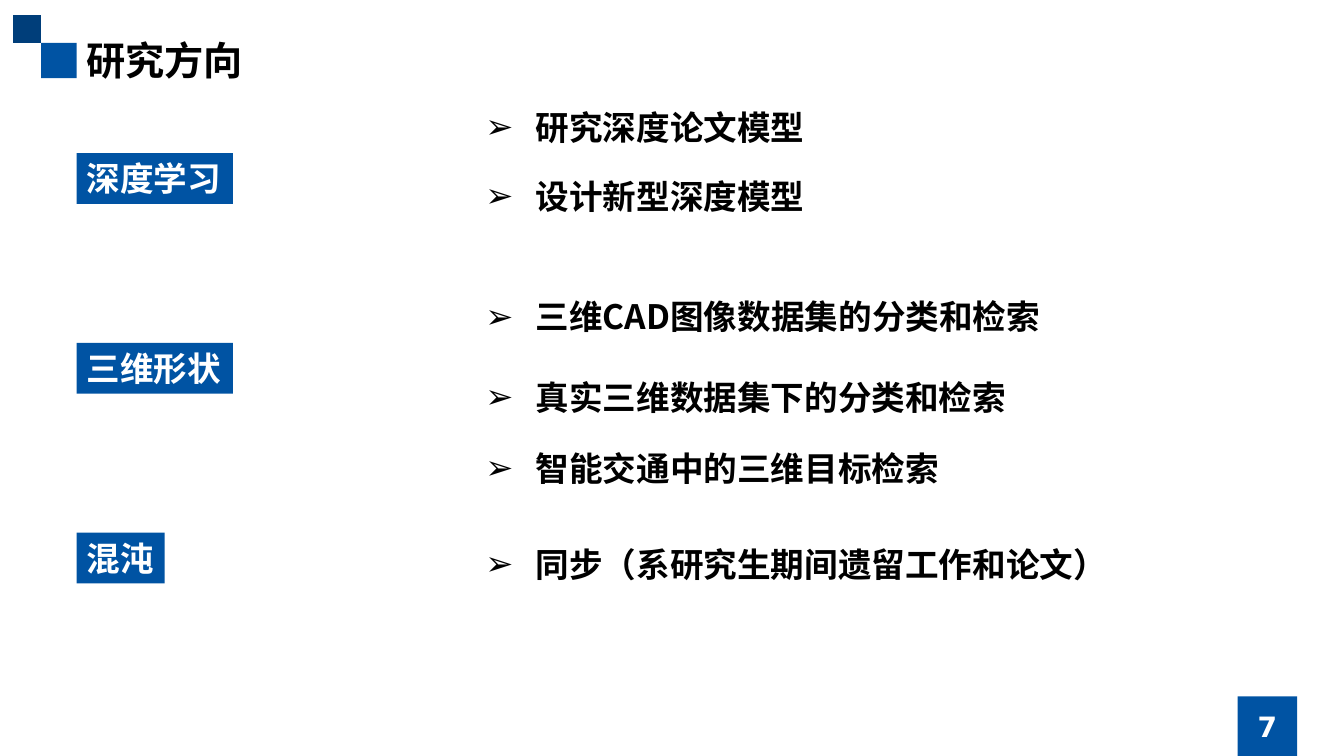
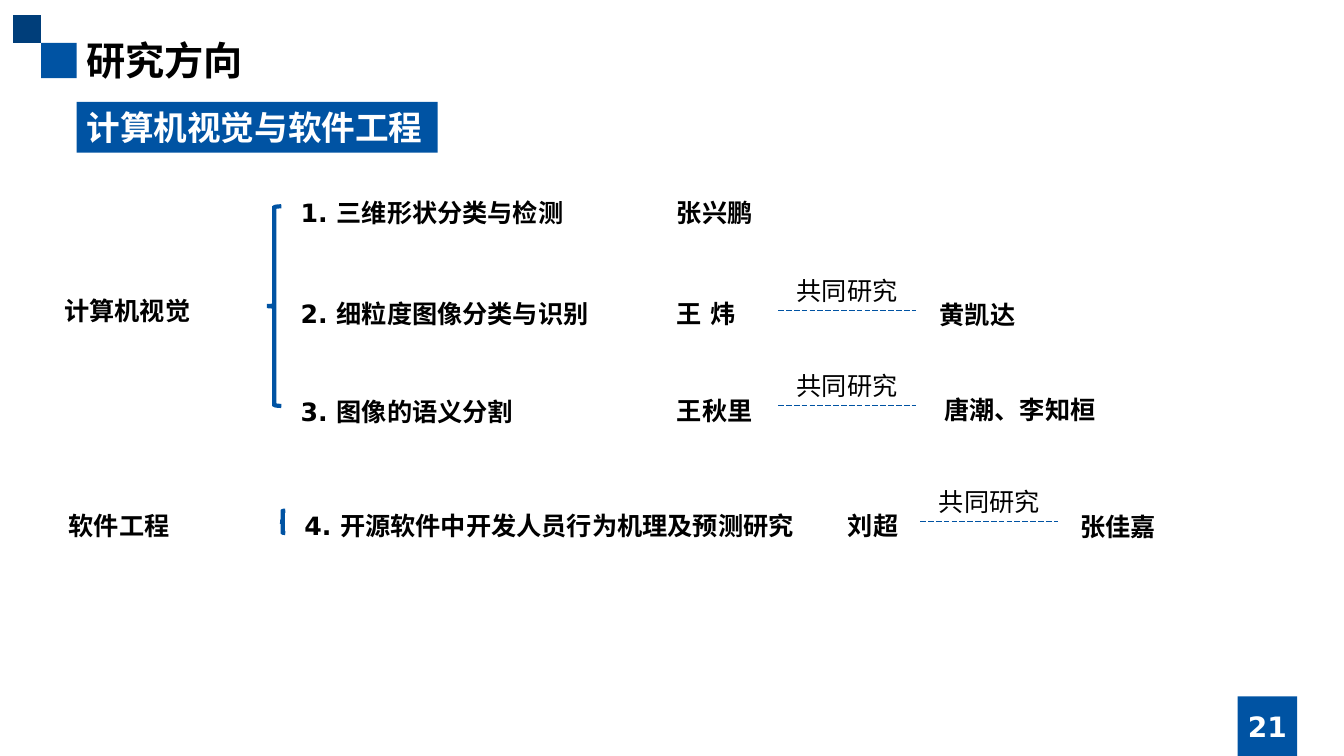
from lxml.etree import SubElement
from pptx import Presentation
from pptx.dml.color import RGBColor
from pptx.enum.dml import MSO_LINE
from pptx.enum.shapes import MSO_CONNECTOR, MSO_SHAPE
from pptx.enum.text import MSO_ANCHOR, PP_ALIGN
from pptx.oxml.ns import qn
from pptx.util import Cm, Pt

BLUE = RGBColor(0x00, 0x53, 0xA3)
NAVY = RGBColor(0x00, 0x3E, 0x7A)
BLACK = RGBColor(0x00, 0x00, 0x00)
WHITE = RGBColor(0xFF, 0xFF, 0xFF)
SANS = "DejaVu Sans"
CJK = "Noto Sans CJK SC"

# Content; all lengths are in centimetres
TITLE = "研究方向"

FIELDS = ["深度学习", "三维形状", "混沌"]
FIELD_TOP, FIELD_STEP = 3.86, 4.78
DIRECTIONS = [  # top, text
    (2.26, "研究深度论文模型"),
    (4.01, "设计新型深度模型"),
    (7.04, "三维CAD图像数据集的分类和检索"),
    (9.07, "真实三维数据集下的分类和检索"),
    (10.85, "智能交通中的三维目标检索"),
    (13.28, "同步（系研究生期间遗留工作和论文）"),
]

TEAM_HEADING = "计算机视觉与软件工程"
JOINT = "共同研究"
AREAS = [  # left, top, text, brace box
    (1.37, 7.09, "计算机视觉", (6.73, 5.2, 0.36, 5.03)),
    (1.48, 12.51, "软件工程", (7.06, 12.87, 0.13, 0.56)),
]
TOPICS = [  # (left, top, topic), (left, top, leader), joint work
    ((7.33, 4.62, "1. 三维形状分类与检测"), (16.81, 4.62, "张兴鹏"), None),
    ((7.33, 7.16, "2. 细粒度图像分类与识别"), (16.81, 7.16, "王 炜"),
     {"dash": (19.61, 7.82), "partner": (23.43, 7.2, "黄凯达")}),
    ((7.33, 9.63, "3. 图像的语义分割"), (16.81, 9.6, "王秋里"),
     {"dash": (19.61, 10.21), "partner": (23.55, 9.59, "唐潮、李知桓")}),
    ((7.42, 12.51, "4. 开源软件中开发人员行为机理及预测研究"), (21.12, 12.51, "刘超"),
     {"dash": (23.19, 13.14), "partner": (26.97, 12.52, "张佳嘉")}),
]
LINE_HEIGHT = 1.24
LINE_SPACING = 1.3
DASH_LENGTH = 3.47
TOPIC_WIDTH, NAME_WIDTH, JOINT_WIDTH = 12.9, 5.3, 3.73


def write(shape, text, size=18, font=SANS, color=BLACK, bold=True,
          spacing=None, align=PP_ALIGN.LEFT, wrap=True, bullet=None):
    """Put one formatted paragraph into a shape."""
    frame = shape.text_frame
    frame.word_wrap = wrap
    paragraph = frame.paragraphs[0]
    paragraph.alignment = align
    if spacing:
        paragraph.line_spacing = spacing
    if bullet:
        properties = paragraph._p.get_or_add_pPr()
        properties.set("marL", str(Cm(1.27)))
        properties.set("indent", str(-Cm(1.27)))
        SubElement(properties, qn("a:buFont")).set("typeface", SANS)
        SubElement(properties, qn("a:buChar")).set("char", bullet)
    run = paragraph.add_run()
    run.text = text
    run.font.size = Pt(size)
    run.font.bold = bold
    run.font.color.rgb = color
    run.font.name = font
    SubElement(run._r.get_or_add_rPr(), qn("a:ea")).set("typeface", font)


def add_text(slide, left, top, width, height, text, **style):
    box = slide.shapes.add_textbox(Cm(left), Cm(top), Cm(width), Cm(height))
    write(box, text, **style)


def add_block(slide, left, top, width, height, color=BLUE):
    block = slide.shapes.add_shape(
        MSO_SHAPE.RECTANGLE, Cm(left), Cm(top), Cm(width), Cm(height))
    block.shadow.inherit = False
    block.fill.solid()
    block.fill.fore_color.rgb = color
    block.line.fill.background()
    return block


def add_heading(slide, top, text):
    """Blue label whose width follows its number of characters."""
    heading = add_block(slide, 1.93, top, 0.86 * len(text) + 0.5, 1.28)
    write(heading, text, size=24, color=WHITE, wrap=False)


def add_brace(slide, left, top, width, height):
    brace = slide.shapes.add_shape(
        MSO_SHAPE.LEFT_BRACE, Cm(left), Cm(top), Cm(width), Cm(height))
    brace.shadow.inherit = False
    brace.fill.background()
    brace.line.color.rgb = BLUE
    brace.line.width = Pt(3)
    outline = brace._element.spPr.find(qn("a:ln"))
    SubElement(outline, qn("a:miter")).set("lim", "800000")


def add_dash(slide, left, y):
    dash = slide.shapes.add_connector(
        MSO_CONNECTOR.STRAIGHT, Cm(left), Cm(y), Cm(left + DASH_LENGTH), Cm(y))
    dash.line.color.rgb = BLUE
    dash.line.width = Pt(0.5)
    dash.line.dash_style = MSO_LINE.LONG_DASH
    SubElement(dash._element.spPr, qn("a:effectLst"))


def add_page(deck, number):
    """Blank slide with the corner squares, title and page number."""
    slide = deck.slides.add_slide(deck.slide_layouts[6])
    add_block(slide, 1.04, 1.08, 0.89, 0.89)
    add_block(slide, 0.33, 0.38, 0.7, 0.7, color=NAVY)
    add_text(slide, 1.93, 0.79, 15, 1.45, TITLE, size=28, font=CJK)
    badge = add_block(slide, 31.19, 17.55, 1.5, 1.5)
    frame = badge.text_frame
    frame.margin_left = frame.margin_right = 0
    frame.vertical_anchor = MSO_ANCHOR.MIDDLE
    write(badge, str(number), size=20, color=WHITE,
          align=PP_ALIGN.CENTER, wrap=False)
    return slide


def build_directions(deck):
    slide = add_page(deck, 7)
    for index, field in enumerate(FIELDS):
        add_heading(slide, FIELD_TOP + index * FIELD_STEP, field)
    for top, direction in DIRECTIONS:
        add_text(slide, 11.98, top, 21, 1.6, direction,
                 size=24, font=CJK, spacing=LINE_SPACING, bullet="➢")


def build_team(deck):
    slide = add_page(deck, 21)
    add_heading(slide, 2.57, TEAM_HEADING)

    def add_line(left, top, text, width, **style):
        add_text(slide, left, top, width, LINE_HEIGHT, text,
                 spacing=LINE_SPACING, **style)

    # Research areas with their braces
    for left, top, area, brace in AREAS:
        add_line(left, top, area, 3.8)
        add_brace(slide, *brace)

    # Topics, leaders and joint work
    for topic, leader, joint in TOPICS:
        add_line(*topic, min(TOPIC_WIDTH, leader[0] - topic[0]))
        add_line(*leader, 2.55)
        if joint:
            left, y = joint["dash"]
            add_dash(slide, left, y)
            add_line(left + 0.22, y - LINE_HEIGHT, JOINT, JOINT_WIDTH, bold=False)
            add_line(*joint["partner"], NAME_WIDTH)


def main():
    deck = Presentation()
    deck.slide_width, deck.slide_height = Cm(33.87), Cm(19.05)
    build_directions(deck)
    build_team(deck)
    deck.save("out.pptx")


if __name__ == "__main__":
    main()
